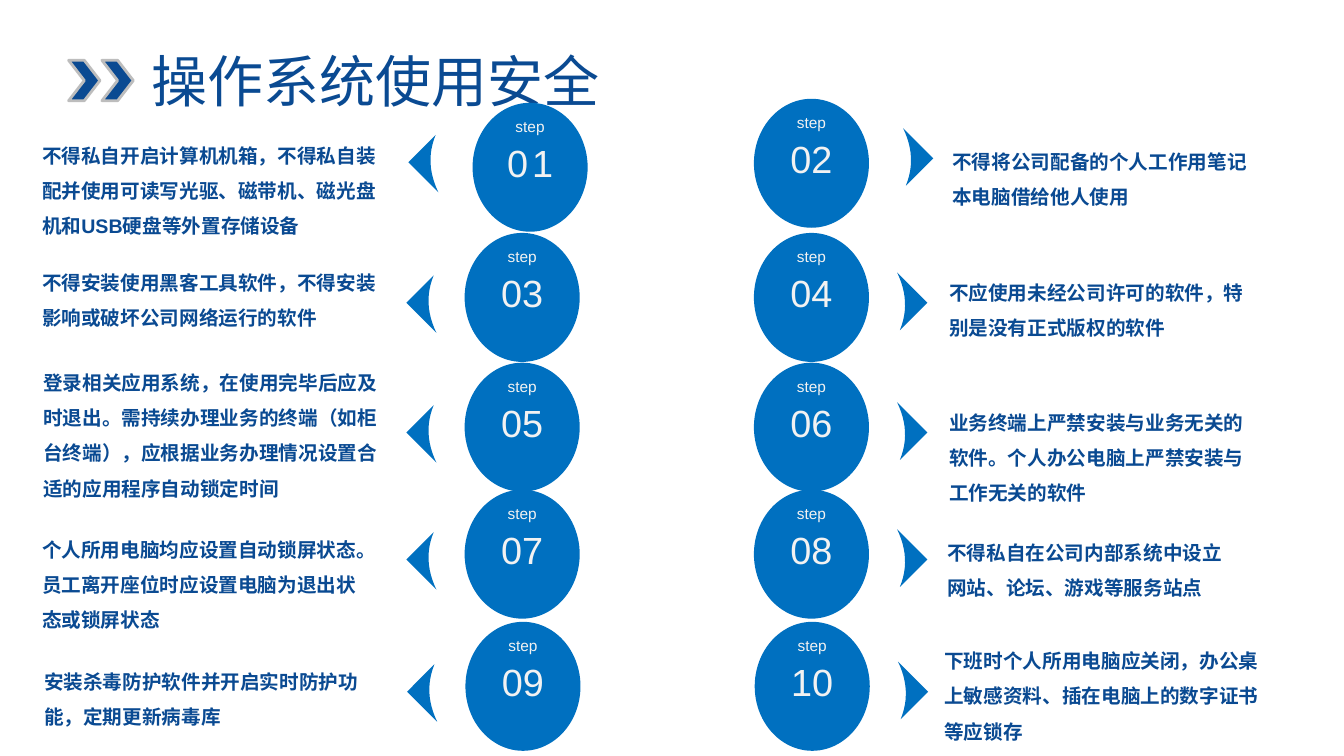
from collections import namedtuple
from dataclasses import dataclass

from pptx import Presentation
from pptx.dml.color import RGBColor as RGB
from pptx.enum.shapes import MSO_SHAPE as SHAPE
from pptx.enum.text import MSO_ANCHOR as ANCHOR, PP_ALIGN as ALIGN
from pptx.util import Cm, Pt


@dataclass(frozen=True)
class Theme:
    font: str = "Arial"
    navy: RGB = RGB(0x0A, 0x4A, 0x92)
    blue: RGB = RGB(0x00, 0x70, 0xC0)
    pale: RGB = RGB(0xF2, 0xF2, 0xF2)
    grey: RGB = RGB(0xBD, 0xBD, 0xBD)
    title: Pt = Pt(40)
    number: Pt = Pt(27)
    label: Pt = Pt(11)
    body: Pt = Pt(14)


T = Theme()
Box = namedtuple("Box", "x y w h")  # all in centimetres

BADGE_W, BADGE_H = 2.9, 3.25
ROW_TOPS = [(2.59, 2.49), (5.87, 5.87), (9.14, 9.14), (12.34, 12.34), (15.67, 15.67)]
BADGE_LEFTS = [(11.91, 19), (11.71, 19), (11.71, 19), (11.71, 19), (11.73, 19.02)]
# Distance from badge edge to arrow tip, and tip height below badge top
ARROWS = [(1.62, 1.5)] + [(1.47, 1.76)] * 4

STEPS = [
    (Box(0.81, 3.2, 9.04, 2.95),
     "不得私自开启计算机机箱，不得私自装配并使用可读写光驱、磁带机、磁光盘机和USB硬盘等外置存储设备"),
    (Box(23.75, 3.35, 8.1, 2.06), "不得将公司配备的个人工作用笔记本电脑借给他人使用"),
    (Box(0.81, 6.4, 8.94, 2.06), "不得安装使用黑客工具软件，不得安装影响或破坏公司网络运行的软件"),
    (Box(23.67, 6.65, 8.18, 1.96), "不应使用未经公司许可的软件，特别是没有正式版权的软件"),
    (Box(0.84, 8.92, 9.19, 3.84),
     "登录相关应用系统，在使用完毕后应及时退出。需持续办理业务的终端（如柜台终端），"
     "应根据业务办理情况设置合适的应用程序自动锁定时间"),
    (Box(23.67, 9.93, 8.18, 2.84),
     "业务终端上严禁安装与业务无关的软件。个人办公电脑上严禁安装与工作无关的软件"),
    (Box(0.81, 13.13, 8.48, 2.95),
     "个人所用电脑均应设置自动锁屏状态。员工离开座位时应设置电脑为退出状态或锁屏状态"),
    (Box(23.62, 13.21, 7.7, 2.06), "不得私自在公司内部系统中设立网站、论坛、游戏等服务站点"),
    (Box(0.86, 16.46, 8.46, 1.96), "安装杀毒防护软件并开启实时防护功能，定期更新病毒库"),
    (Box(23.55, 15.93, 8.46, 2.95),
     "下班时个人所用电脑应关闭，办公桌上敏感资料、插在电脑上的数字证书等应锁存"),
]


def paint(sp, fill, line=None):
    sp.shadow.inherit = False
    sp.fill.solid()
    sp.fill.fore_color.rgb = fill
    if line is None:
        sp.line.fill.background()
    else:
        sp.line.color.rgb = line
        sp.line.width = Pt(2)


def add_shape(shapes, kind, box, fill, line=None):
    paint(shapes.add_shape(kind, *map(Cm, box)), fill, line)


def add_text(shapes, box, text, size, color, align=ALIGN.CENTER, inset=0):
    tf = shapes.add_textbox(*map(Cm, box)).text_frame
    tf.word_wrap = True
    tf.margin_left = tf.margin_right = Cm(2 * inset)
    tf.margin_top = tf.margin_bottom = Cm(inset)
    p = tf.paragraphs[0]
    p.text = text
    p.alignment = align
    p.font.name, p.font.size, p.font.color.rgb = T.font, size, color
    return tf


def heading(slide, box):
    # Two chevrons, then the title
    for i in range(2):
        add_shape(slide.shapes, SHAPE.CHEVRON,
                  Box(box.x + 0.84 * i, box.y, 0.79, box.h), T.navy, T.grey)
    tf = add_text(slide.shapes, Box(box.x + 0.36, box.y, box.w - 0.36, box.h),
                  "操作系统使用安全", T.title, T.navy)
    tf.vertical_anchor = ANCHOR.MIDDLE


def badge(slide, box, number):
    # Disc with the word above its number
    shapes = slide.shapes.add_group_shape().shapes
    add_shape(shapes, SHAPE.OVAL, box, T.blue)
    tf = add_text(shapes, Box(box.x, box.y + 0.93, box.w, 1.14),
                  f"{number:02}", T.number, T.pale)
    if number == 1:
        tf.paragraphs[0].runs[0].font._element.set("spc", "300")
    add_text(shapes, Box(box.x, box.y + 0.36, box.w, 0.48), "step", T.label, T.pale)


def arrow(slide, x, y, side):
    # Tip at (x, y), hollow back; side is 1 for pointing left, -1 for right
    top, bend, end = (0.69, -0.69), (0.4, 0.02), (0.76, 0.76)
    n = 12
    back = [[(1 - t) ** 2 * a + 2 * t * (1 - t) * b + t * t * c
             for a, b, c in zip(top, bend, end)]
            for t in (i / n for i in range(n + 1))]
    outline = slide.shapes.build_freeform(Cm(x), Cm(y))
    outline.add_line_segments([(Cm(x + side * dx), Cm(y + side * dy)) for dx, dy in back])
    paint(outline.convert_to_shape(), T.blue)


def step(slide, box, number, gap, drop, text_box, text):
    on_left = number % 2 == 1
    badge(slide, box, number)
    tip = box.x - gap if on_left else box.x + box.w + gap
    arrow(slide, tip, box.y + drop, 1 if on_left else -1)
    tf = add_text(slide.shapes, text_box, text, T.body, T.navy, ALIGN.LEFT, 0.127)
    p = tf.paragraphs[0]
    p.font.bold = True
    p.line_spacing = 1.5


prs = Presentation()
prs.slide_width, prs.slide_height = Cm(33.87), Cm(19.05)
s = prs.slides.add_slide(prs.slide_layouts[6])

heading(s, Box(1.73, 1.52, 15.11, 1.02))
for i, (text_box, text) in enumerate(STEPS):
    row, col = divmod(i, 2)
    disc = Box(BADGE_LEFTS[row][col], ROW_TOPS[row][col], BADGE_W, BADGE_H)
    step(s, disc, i + 1, *ARROWS[row], text_box, text)

prs.save("out.pptx")
